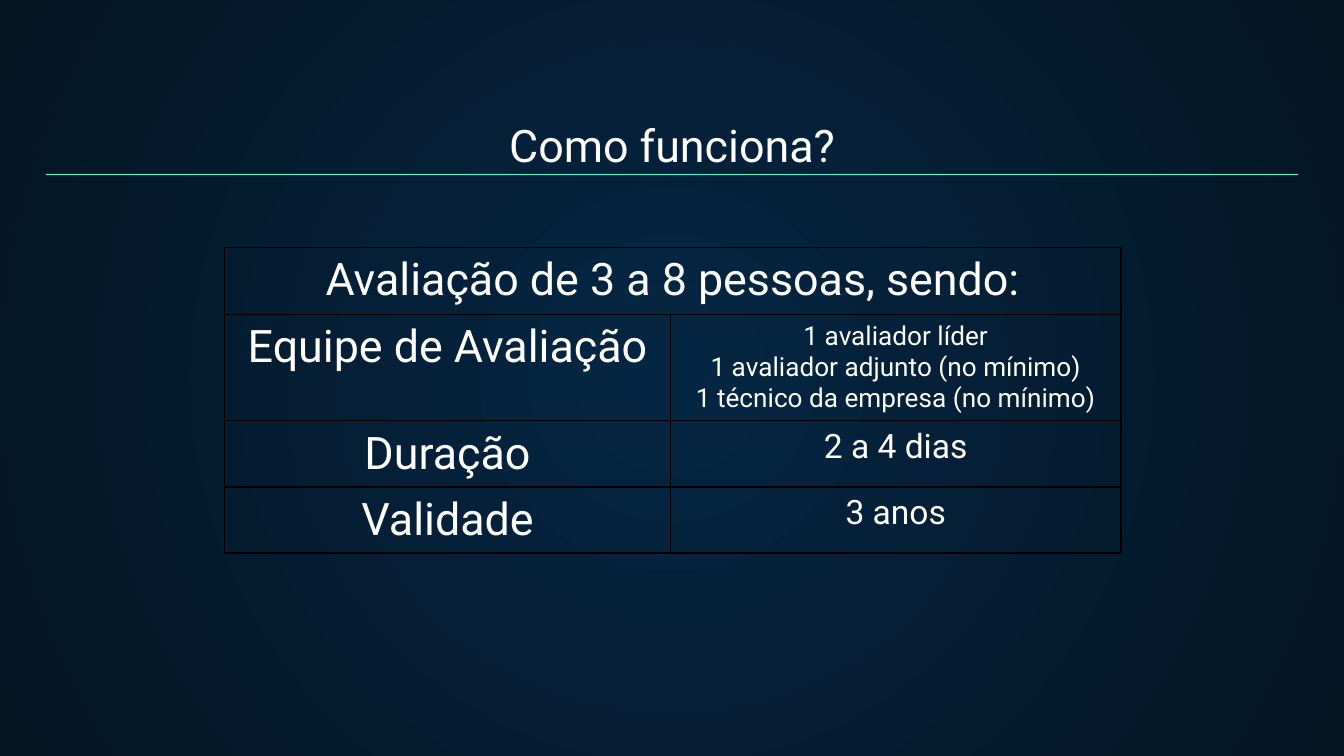
"""Build the "Como funciona?" slide with the evaluation tables."""
from lxml.etree import SubElement
from pptx import Presentation
from pptx.dml.color import RGBColor
from pptx.enum.shapes import MSO_CONNECTOR
from pptx.enum.text import PP_ALIGN
from pptx.oxml.ns import qn
from pptx.util import Inches, Pt

COLORS = {"center": "052643", "edge": "041523", "text": "FFFFFF",
          "rule": "48FFD5", "border": "000000"}


def write_lines(frame, lines, size):
    frame.word_wrap = True
    for index, line in enumerate(lines):
        paragraph = frame.add_paragraph() if index else frame.paragraphs[0]
        paragraph.alignment = PP_ALIGN.CENTER
        run = paragraph.add_run()
        run.text = line
        run.font.size = Pt(size)
        run.font.name = "Roboto"
        run.font.color.rgb = RGBColor.from_string(COLORS["text"])


def outline_cell(cell):
    properties = cell._tc.get_or_add_tcPr()
    for side in ("lnL", "lnR", "lnT", "lnB"):
        border = SubElement(properties, qn(f"a:{side}"), w=str(Pt(1)))
        fill = SubElement(border, qn("a:solidFill"))
        SubElement(fill, qn("a:srgbClr"), val=COLORS["border"])
    cell.fill.background()


prs = Presentation()
prs.slide_width = Inches(10)
prs.slide_height = Inches(10 * 9 / 16)
slide = prs.slides.add_slide(prs.slide_layouts[6])

backdrop = slide.background.fill
backdrop.gradient()
for stop, name in zip(backdrop.gradient_stops, ("center", "edge")):
    stop.color.rgb = RGBColor.from_string(COLORS[name])
gradient = slide._element.find(".//" + qn("a:gradFill"))
gradient.remove(gradient.find(qn("a:lin")))
radial = SubElement(gradient, qn("a:path"), path="circle")
SubElement(radial, qn("a:fillToRect"), l="50000", t="50000", r="50000", b="50000")

tables = [
    (1.84, [6.67], [0.5], [[(["Avaliação de 3 a 8 pessoas, sendo:"], 24)]]),
    (2.34, [3.32, 3.35], [0.79, 0.49, 0.49], [
        [(["Equipe de Avaliação"], 24),
         (["1 avaliador líder", "1 avaliador adjunto (no mínimo)",
           "1 técnico da empresa (no mínimo)"], 14)],
        [(["Duração"], 24), (["2 a 4 dias"], 18)],
        [(["Validade"], 24), (["3 anos"], 18)],
    ]),
]
for top, widths, heights, rows in tables:
    table = slide.shapes.add_table(
        len(heights), len(widths), Inches(1.67), Inches(top),
        Inches(sum(widths)), Inches(sum(heights))).table
    table.first_row = table.horz_banding = False
    for column, width in zip(table.columns, widths):
        column.width = Inches(width)
    for row, height, contents in zip(table.rows, heights, rows):
        row.height = Inches(height)
        for cell, (lines, size) in zip(row.cells, contents):
            outline_cell(cell)
            write_lines(cell.text_frame, lines, size)

title = slide.shapes.add_textbox(Inches(1.19), Inches(0.83), Inches(7.62), Inches(0.5))
write_lines(title.text_frame, ["Como funciona?"], 24)

rule = slide.shapes.add_connector(
    MSO_CONNECTOR.STRAIGHT, Inches(0.34), Inches(1.3), Inches(9.66), Inches(1.3))
rule.line.color.rgb = RGBColor.from_string(COLORS["rule"])
rule.line.width = Pt(0.75)
SubElement(rule._element.spPr, qn("a:effectLst"))

prs.save("out.pptx")
